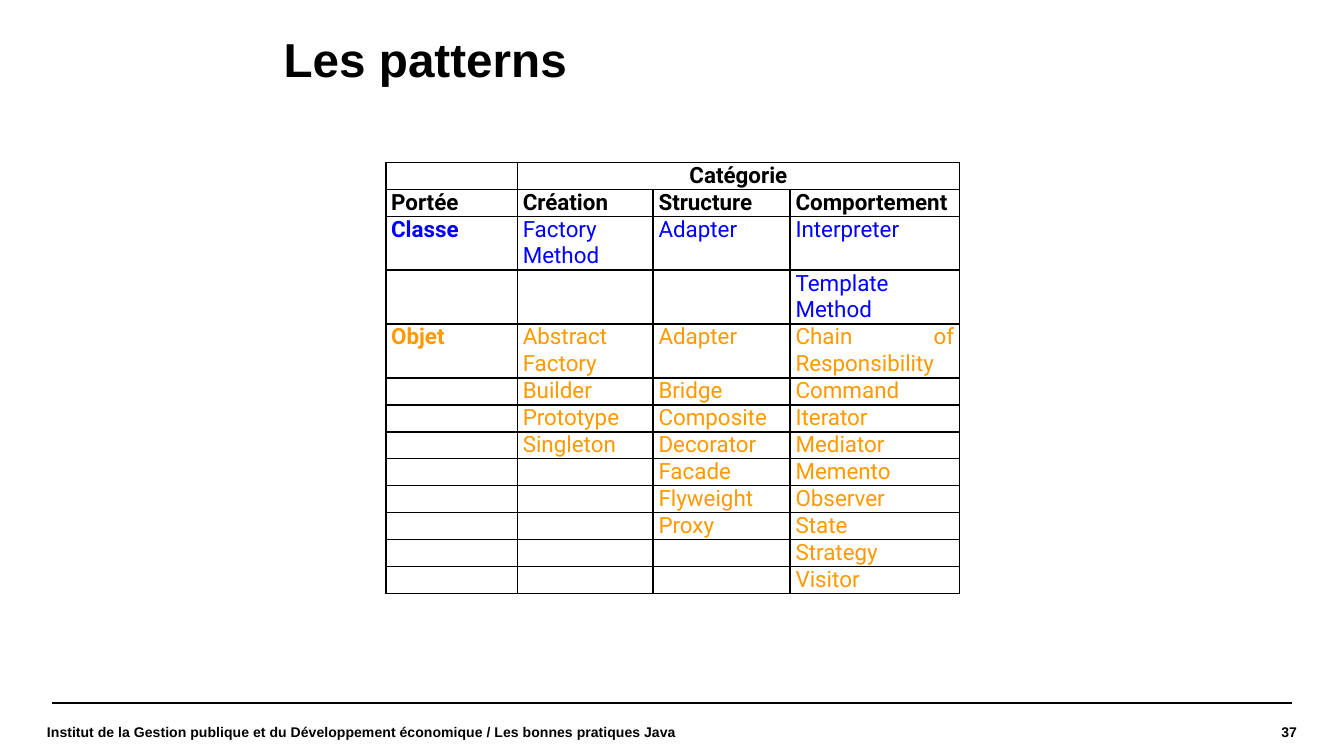
"""Builds the slide listing design patterns by scope and category."""
from lxml.etree import SubElement
from pptx import Presentation
from pptx.dml.color import RGBColor
from pptx.enum.shapes import MSO_CONNECTOR as Connector
from pptx.enum.text import MSO_ANCHOR as Anchor, PP_ALIGN as Align
from pptx.oxml import parse_xml
from pptx.oxml.ns import nsdecls, qn
from pptx.util import Inches, Pt

BLACK, BLUE, ORANGE = "000000", "0000FF", "FF9900"
COLUMN_WIDTHS = [0.98, 1.01, 1.02, 1.26]
LINE_HEIGHT = 0.2
TALL_ROWS = {2, 3, 4}
PATTERNS = [
    ["", "Catégorie", "", ""],
    ["Portée", "Création", "Structure", "Comportement"],
    ["Classe", "Factory Method", "Adapter", "Interpreter"],
    ["", "", "", "Template Method"],
    ["Objet", "Abstract Factory", "Adapter", "Chain of Responsibility"],
    ["", "Builder", "Bridge", "Command"],
    ["", "Prototype", "Composite", "Iterator"],
    ["", "Singleton", "Decorator", "Mediator"],
    ["", "", "Facade", "Memento"],
    ["", "", "Flyweight", "Observer"],
    ["", "", "Proxy", "State"],
    ["", "", "", "Strategy"],
    ["", "", "", "Visitor"],
]


def color(code):
    """Return the colour for a hex string."""
    return RGBColor.from_string(code)


def style(paragraph, size, name, code, bold, align):
    """Set the font and alignment of a paragraph."""
    font = paragraph.font
    font.size, font.name, font.bold = Pt(size), name, bold
    font.color.rgb = color(code)
    paragraph.alignment = align


def add_text(slide, text, box, size, align=Align.LEFT, anchor=Anchor.MIDDLE, spacing=1.0):
    """Add a bold one-paragraph text box without margins."""
    frame = slide.shapes.add_textbox(*map(Inches, box)).text_frame
    frame.word_wrap = True
    frame.vertical_anchor = anchor
    frame.margin_left = frame.margin_right = frame.margin_top = frame.margin_bottom = 0
    paragraph = frame.paragraphs[0]
    paragraph.text = text
    paragraph.line_spacing = spacing
    style(paragraph, size, "Arial", BLACK, True, align)


def add_rule(slide, left, right, top):
    """Add the horizontal rule above the footer."""
    ends = map(Inches, (left, top, right, top))
    rule = slide.shapes.add_connector(Connector.STRAIGHT, *ends)
    rule.line.color.rgb = color(BLACK)
    rule.line.width = Pt(0.8)
    SubElement(rule._element.spPr, qn("a:effectLst"))


def add_borders(cell):
    """Draw a thin black border on every side of a cell."""
    properties = cell._tc.get_or_add_tcPr()
    for position, side in enumerate("LRTB"):
        properties.insert(position, parse_xml(
            f'<a:ln{side} {nsdecls("a")} w="{Pt(1)}"><a:solidFill>'
            f'<a:srgbClr val="{BLACK}"/></a:solidFill></a:ln{side}>'))


def fill_cell(cell, text, row, column):
    """Write one cell in the style of its row and column."""
    cell.margin_left = cell.margin_right = Inches(0.04)
    cell.margin_top = cell.margin_bottom = 0
    cell.fill.background()
    add_borders(cell)
    paragraph = cell.text_frame.paragraphs[0]
    code = BLACK if row < 2 else BLUE if row < 4 else ORANGE
    align = Align.CENTER if row == 0 else Align.LEFT if row == 1 and column else Align.JUSTIFY
    if text:
        paragraph.text = text
    style(paragraph, 12, "Roboto", code, row < 2 or column == 0, align)
    if not text:
        SubElement(paragraph._p, qn("a:endParaRPr"), sz="1200")


def add_pattern_table(slide, left, top):
    """Add the bordered table of patterns."""
    heights = [LINE_HEIGHT * (2 if row in TALL_ROWS else 1) for row in range(len(PATTERNS))]
    box = map(Inches, (left, top, sum(COLUMN_WIDTHS), sum(heights)))
    table = slide.shapes.add_table(len(PATTERNS), len(COLUMN_WIDTHS), *box).table
    table.first_row = table.horz_banding = False
    for column, width in zip(table.columns, COLUMN_WIDTHS):
        column.width = Inches(width)
    for row, height in zip(table.rows, heights):
        row.height = Inches(height)
    for row, names in enumerate(PATTERNS):
        for column, name in enumerate(names):
            fill_cell(table.cell(row, column), name, row, column)
    table.cell(0, 1).merge(table.cell(0, 3))


def main():
    """Build and save the slide."""
    deck = Presentation()
    deck.slide_width = Inches(10)
    deck.slide_height = deck.slide_width * 9 // 16
    slide = deck.slides.add_slide(deck.slide_layouts[6])
    add_rule(slide, 0.39, 9.61, 5.23)
    add_text(slide, "Les patterns", (2.11, 0.27, 6.39, 0.48), 25.5,
             anchor=Anchor.TOP, spacing=0.9)
    add_pattern_table(slide, 2.87, 1.21)
    add_text(slide, "37", (8.17, 5.25, 1.48, 0.39), 7.5, Align.RIGHT)
    add_text(slide, "Institut de la Gestion publique et du Développement économique"
             " / Les bonnes pratiques Java", (0.35, 5.25, 4.84, 0.39), 7.5)
    deck.save("out.pptx")


if __name__ == "__main__":
    main()
